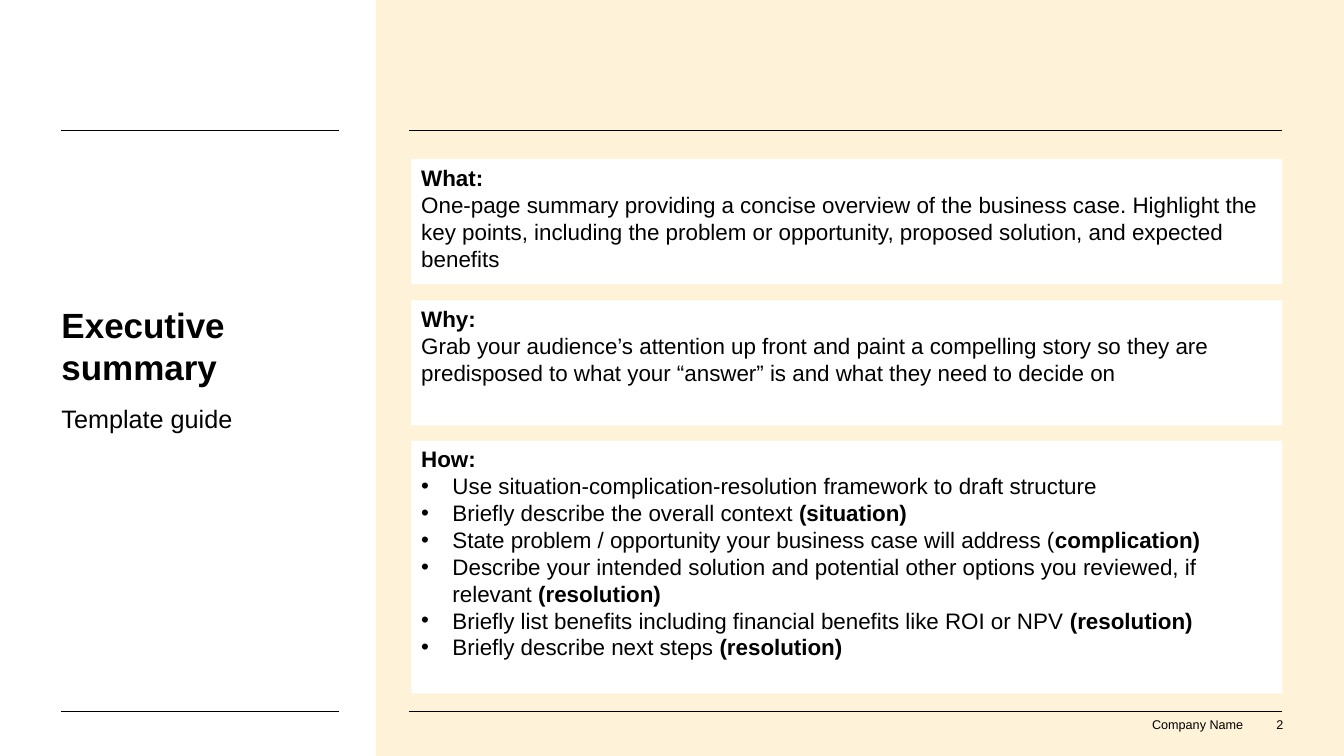
from lxml import etree
from pptx import Presentation
from pptx import util as u
from pptx.dml.color import RGBColor
from pptx.enum import shapes, text
from pptx.oxml.ns import qn

BLACK = RGBColor(0, 0, 0)
WHITE = RGBColor(255, 255, 255)
CREAM = RGBColor(0xFE, 0xF2, 0xD8)
FONT = "Arial"

TITLE = "Executive summary"
SUBTITLE = "Template guide"
COMPANY = "Company Name"
PAGE = "2"

CARDS = [
    ("What:", 1.58, 1.24, False, [
        [("One-page summary providing a concise overview of the business case. "
          "Highlight the key points, including the problem or opportunity, "
          "proposed solution, and expected benefits", False)],
    ]),
    ("Why:", 2.98, 1.24, False, [
        [("Grab your audience’s attention up front and paint a compelling story "
          "so they are predisposed to what your “answer” is and what they need "
          "to decide on", False)],
    ]),
    ("How:", 4.37, 2.51, True, [
        [("Use situation-complication-resolution framework to draft structure", False)],
        [("Briefly describe the overall context ", False), ("(situation)", True)],
        [("State problem / opportunity your business case will address (", False),
         ("complication)", True)],
        [("Describe your intended solution and potential other options you "
          "reviewed, if relevant", False), (" (resolution)", True)],
        [("Briefly list benefits including financial benefits like ROI or NPV", False),
         (" (resolution)", True)],
        [("Briefly describe next steps", False), (" (resolution)", True)],
    ]),
]

RULE_SPANS = [(0.61, 3.36), (4.06, 12.72)]
RULE_TOPS = [1.29, 7.06]
CARD_LEFT, CARD_WIDTH = 4.08, 8.64
INDENT = u.Inches(0.31)


def style(p, size, bold=None):
    p.font.name = FONT
    p.font.size = u.Pt(size)
    p.font.color.rgb = BLACK
    p.font.bold = bold


def add_rect(slide, left, top, width, height, color):
    sp = slide.shapes.add_shape(
        shapes.MSO_SHAPE.RECTANGLE, *map(u.Inches, (left, top, width, height)))
    sp.shadow.inherit = False
    sp.fill.solid()
    sp.fill.fore_color.rgb = color
    sp.line.fill.background()
    return sp


def add_rule(slide, left, right, top):
    line = slide.shapes.add_connector(
        shapes.MSO_CONNECTOR.STRAIGHT, *map(u.Inches, (left, top, right, top)))
    line.line.color.rgb = BLACK
    line.line.width = u.Pt(0.5)
    etree.SubElement(line._element.spPr, qn("a:effectLst"))


def add_label(slide, box, words, size, anchor, align, bold=None, wrap=True):
    tf = slide.shapes.add_textbox(*map(u.Inches, box)).text_frame
    tf.margin_left = tf.margin_right = tf.margin_top = tf.margin_bottom = 0
    tf.word_wrap = wrap
    tf.vertical_anchor = anchor
    p = tf.paragraphs[0]
    p.text = words
    p.alignment = align
    style(p, size, bold)
    return p


def add_bullet(p):
    pPr = p._p.get_or_add_pPr()
    pPr.set("marL", str(INDENT))
    pPr.set("indent", str(-INDENT))
    bullet_font = etree.Element(qn("a:buFont"), typeface=FONT)
    bullet = etree.Element(qn("a:buChar"), char="•")
    pPr.insert(0, bullet_font)
    pPr.insert(1, bullet)


def add_card(slide, heading, top, height, bulleted, items):
    sp = add_rect(slide, CARD_LEFT, top, CARD_WIDTH, height, WHITE)
    tf = sp.text_frame
    tf.word_wrap = True
    tf.vertical_anchor = text.MSO_ANCHOR.TOP
    for i, runs in enumerate([[(heading, True)]] + items):
        p = tf.add_paragraph() if i else tf.paragraphs[0]
        p.alignment = text.PP_ALIGN.LEFT
        style(p, 16)
        for words, bold in runs:
            r = p.add_run()
            r.text = words
            r.font.bold = bold
        if bulleted and i:
            add_bullet(p)


def main():
    prs = Presentation()
    prs.slide_width, prs.slide_height = u.Inches(13.33), u.Inches(7.5)
    s = prs.slides.add_slide(prs.slide_layouts[6])
    top, bottom = text.MSO_ANCHOR.TOP, text.MSO_ANCHOR.BOTTOM
    left, right = text.PP_ALIGN.LEFT, text.PP_ALIGN.RIGHT

    add_rect(s, 3.73, 0, 9.6, 7.5, CREAM)
    for y in RULE_TOPS:
        for x1, x2 in RULE_SPANS:
            add_rule(s, x1, x2, y)
    add_label(s, (12.37, 7.11, 0.36, 0.15), PAGE, 9, bottom, right)
    add_label(s, (11.42, 7.11, 0.91, 0.15), COMPANY, 9, bottom, right, wrap=False)
    add_label(s, (0.61, 2.33, 2.75, 1.51), TITLE, 25, bottom, left, bold=True)
    p = add_label(s, (0.61, 4, 2.75, 0.61), SUBTITLE, 18, top, left)
    p.space_before = p.space_after = u.Pt(3)
    for card in CARDS:
        add_card(s, *card)
    prs.save("out.pptx")


if __name__ == "__main__":
    main()
